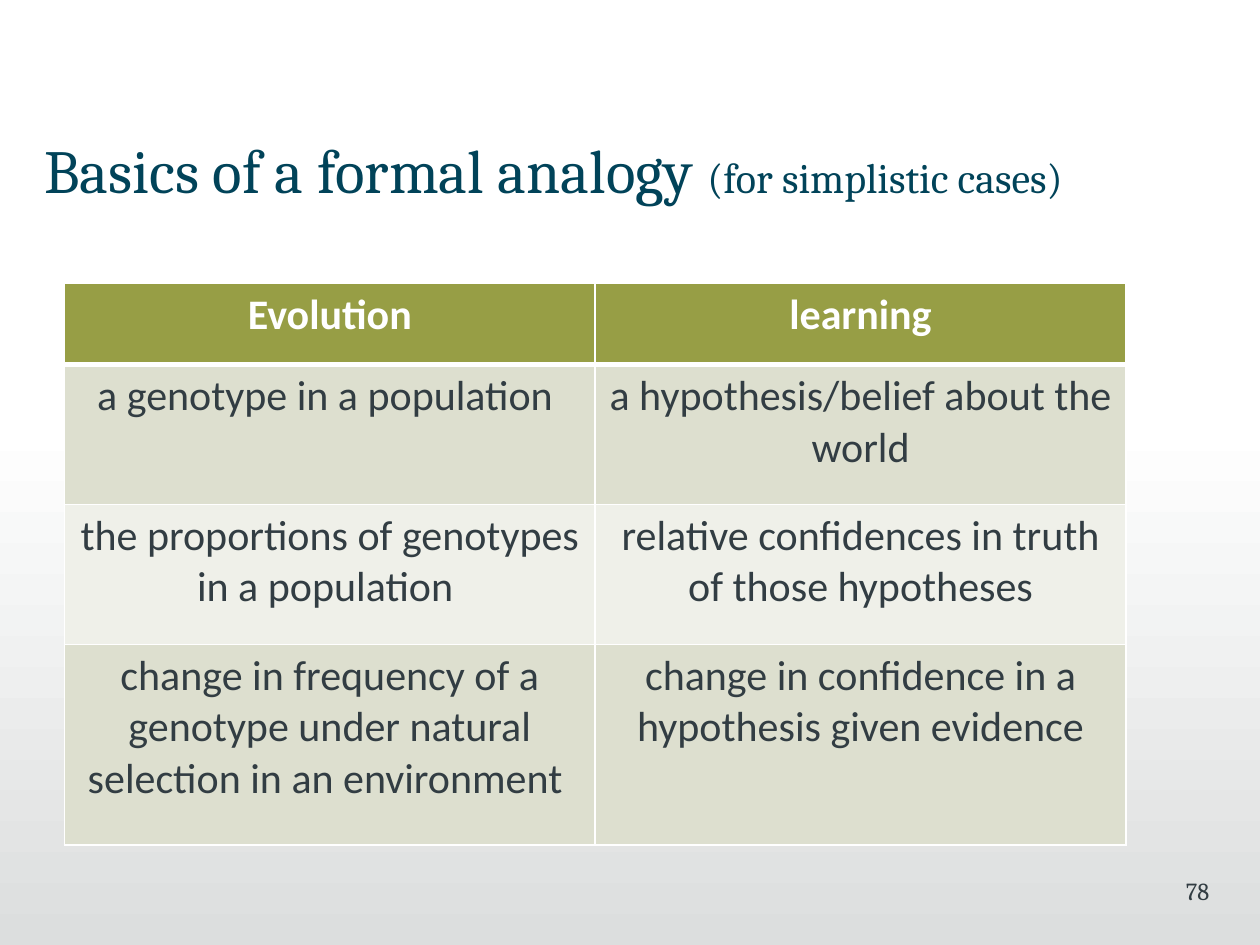
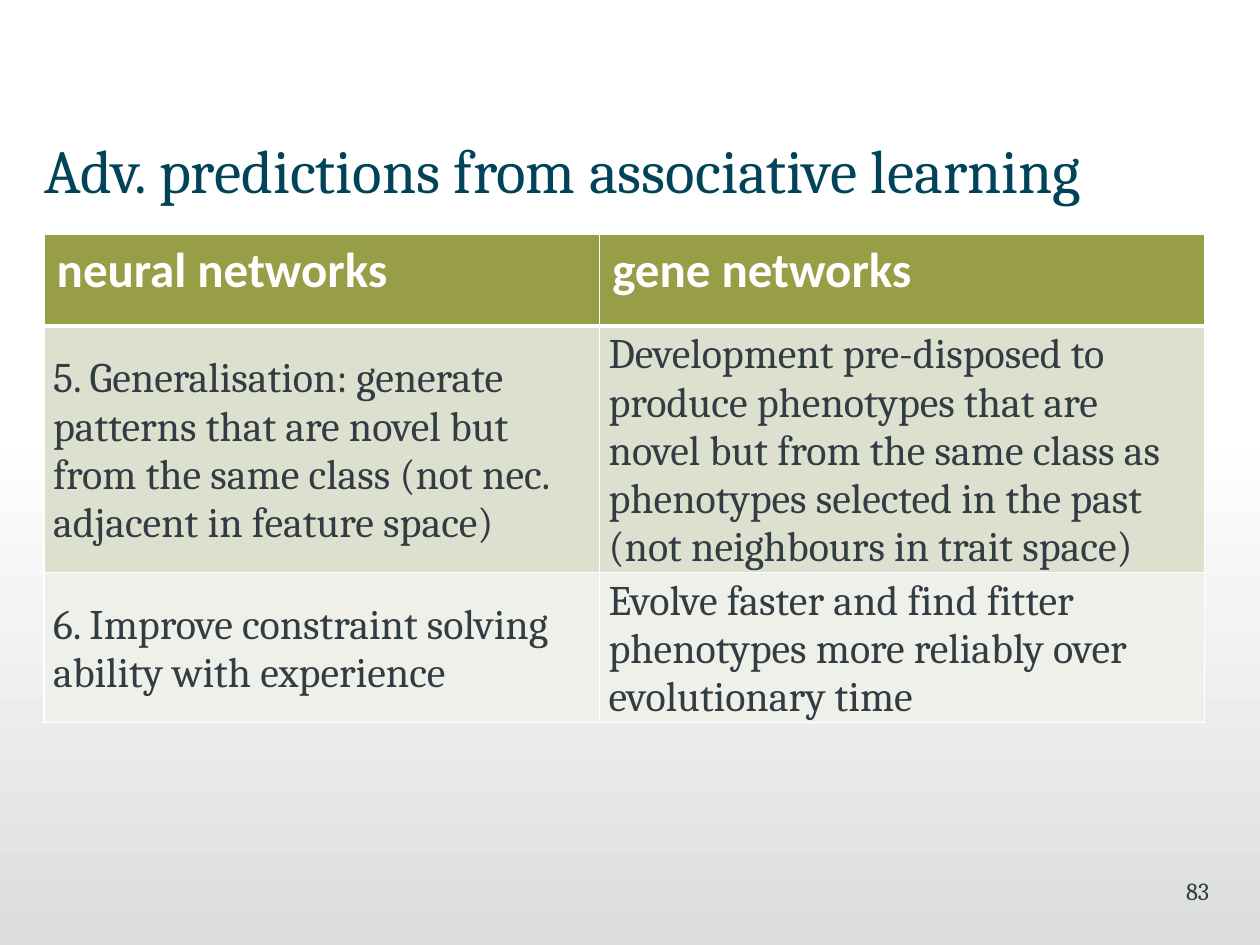
from dataclasses import dataclass

from lxml.etree import SubElement
from pptx import Presentation
from pptx.dml.color import RGBColor
from pptx.enum.shapes import MSO_SHAPE
from pptx.enum.text import MSO_ANCHOR, MSO_AUTO_SIZE, PP_ALIGN
from pptx.oxml.ns import qn
from pptx.presentation import Presentation as Deck
from pptx.slide import Slide
from pptx.table import _Cell as Cell
from pptx.text.text import TextFrame, _Paragraph as Para
from pptx.util import Cm, Pt

WHITE = RGBColor(0xFF, 0xFF, 0xFF)
GREY = RGBColor(0xDC, 0xDE, 0xDE)
NAVY = RGBColor(0x01, 0x43, 0x59)
SLATE = RGBColor(0x32, 0x3D, 0x43)
OLIVE = RGBColor(0x97, 0x9E, 0x45)
SAGE = RGBColor(0xDD, 0xDF, 0xCF)
PALE = RGBColor(0xEF, 0xF0, 0xE9)

SERIF = "Cambria"
SANS = "Calibri"
THIN, THICK = 1, 3


@dataclass(frozen=True)
class Style:
    font: str
    size: int
    color: RGBColor
    bold: bool = False


@dataclass(frozen=True)
class Run:
    text: str
    style: Style


@dataclass(frozen=True)
class Grid:
    left: float
    top: float
    cols: list[float]
    rows: list[float]
    cells: list[tuple[str, str]]
    head: Style
    body: Style
    align: PP_ALIGN = PP_ALIGN.LEFT
    tight: bool = False  # body cells centred vertically, with narrow margins


@dataclass(frozen=True)
class Page:
    number: int
    title: list[Run]
    grid: Grid


TITLE = Style(SERIF, 35, NAVY)
ASIDE = Style(SERIF, 24, NAVY)
NUMBER = Style(SERIF, 14, SLATE)

PAGES = [
    Page(
        78,
        [Run("Basics of a formal analogy ", TITLE), Run("(for simplistic cases)", ASIDE)],
        Grid(
            1.3, 5.72, [10.7, 10.7], [1.63, 2.82, 2.82, 4.04],
            [
                ("Evolution", "learning"),
                ("a genotype in a population ", "a hypothesis/belief about the world"),
                ("the proportions of genotypes in a population ",
                 "relative confidences in truth of those hypotheses"),
                ("change in frequency of a genotype under natural selection in an environment ",
                 "change in confidence in a hypothesis given evidence"),
            ],
            head=Style(SANS, 24, WHITE, True),
            body=Style(SANS, 24, SLATE),
            align=PP_ALIGN.CENTER,
        ),
    ),
    Page(
        83,
        [Run("Adv. predictions from associative learning", TITLE)],
        Grid(
            0.89, 4.72, [11.2, 12.19], [1.85, 4.95, 3.02],
            [
                ("neural networks", "gene networks"),
                ("5. Generalisation: generate patterns that are novel but from the same class "
                 "(not nec. adjacent in feature space)",
                 "Development pre-disposed to produce phenotypes that are novel but from the same "
                 "class as phenotypes selected in the past (not neighbours in trait space)"),
                ("6. Improve constraint solving ability with experience",
                 "Evolve faster and find fitter phenotypes more reliably over evolutionary time"),
            ],
            head=Style(SANS, 28, WHITE, True),
            body=Style(SERIF, 24, SLATE),
            tight=True,
        ),
    ),
]


def add_run(para: Para, text: str, style: Style) -> None:
    run = para.add_run()
    run.text = text
    font = run.font
    font.name, font.size, font.bold = style.font, Pt(style.size), style.bold
    font.color.rgb = style.color


def set_frame(frame: TextFrame, left: float, right: float, anchor: MSO_ANCHOR) -> None:
    frame.word_wrap = True
    frame.auto_size = MSO_AUTO_SIZE.NONE
    frame.vertical_anchor = anchor
    frame.margin_left, frame.margin_right = Cm(left), Cm(right)
    frame.margin_top = frame.margin_bottom = Cm(0.13)


def add_band(slide: Slide) -> None:
    """Draw the fading band and move it to the layout, behind all else."""
    band = slide.shapes.add_shape(
        MSO_SHAPE.RECTANGLE, Cm(-0.23), Cm(8.46), Cm(25.63), Cm(10.59))
    band.shadow.inherit = False
    band.line.fill.background()
    band.fill.gradient()
    band.fill.gradient_angle = 270
    for stop, color in zip(band.fill.gradient_stops, (WHITE, GREY)):
        stop.color.rgb = color
    for stop, place in zip(band.fill.gradient_stops, (0, 1)):
        stop.position = place
    slide.slide_layout.shapes.element.insert(2, band.element)


def add_title(slide: Slide, runs: list[Run]) -> None:
    title = slide.shapes.title
    title.left, title.top = Cm(0.89), Cm(2.51)
    title.width, title.height = Cm(23.6), Cm(1.8)
    set_frame(title.text_frame, 0, 0.25, MSO_ANCHOR.MIDDLE)
    para = title.text_frame.paragraphs[0]
    para.alignment = PP_ALIGN.LEFT
    for run in runs:
        add_run(para, run.text, run.style)


def add_number(slide: Slide, number: int) -> None:
    box = slide.shapes.add_textbox(Cm(19.1), Cm(17.53), Cm(5.28), Cm(1.27))
    set_frame(box.text_frame, 0.25, 0, MSO_ANCHOR.TOP)
    para = box.text_frame.paragraphs[0]
    para.alignment = PP_ALIGN.RIGHT
    add_run(para, str(number), NUMBER)


def add_edges(cell: Cell, top: int, bottom: int) -> None:
    props = cell._tc.get_or_add_tcPr()
    for side, width in (("L", THIN), ("R", THIN), ("T", top), ("B", bottom)):
        line = SubElement(props, qn(f"a:ln{side}"), w=str(Pt(width)))
        fill = SubElement(line, qn("a:solidFill"))
        SubElement(fill, qn("a:srgbClr"), val=str(WHITE))


def fill_cell(cell: Cell, text: str, row: int, grid: Grid) -> None:
    add_edges(cell, THICK if row == 1 else THIN, THICK if row == 0 else THIN)
    cell.fill.solid()
    cell.fill.fore_color.rgb = OLIVE if row == 0 else (PALE, SAGE)[row % 2]
    if grid.tight and row > 0:
        cell.vertical_anchor = MSO_ANCHOR.MIDDLE
        cell.margin_left = cell.margin_right = Cm(0.18)
        cell.margin_top, cell.margin_bottom = Cm(0.1), Cm(0)
    para = cell.text_frame.paragraphs[0]
    para.alignment = grid.align
    add_run(para, text, grid.body if row else grid.head)


def add_grid(slide: Slide, grid: Grid) -> None:
    table = slide.shapes.add_table(
        len(grid.rows), len(grid.cols), Cm(grid.left), Cm(grid.top),
        Cm(sum(grid.cols)), Cm(sum(grid.rows))).table
    table.first_row = table.horz_banding = False
    for col, width in zip(table.columns, grid.cols):
        col.width = Cm(width)
    for index, (row, height) in enumerate(zip(table.rows, grid.rows)):
        row.height = Cm(height)
        for cell, text in zip(row.cells, grid.cells[index]):
            fill_cell(cell, text, index, grid)


def add_page(deck: Deck, page: Page) -> Slide:
    slide = deck.slides.add_slide(deck.slide_layouts[5])
    add_title(slide, page.title)
    add_grid(slide, page.grid)
    add_number(slide, page.number)
    return slide


def main() -> None:
    deck = Presentation()
    deck.slide_width, deck.slide_height = Cm(25.4), Cm(19.05)
    slides = [add_page(deck, page) for page in PAGES]
    add_band(slides[0])
    deck.save("out.pptx")


if __name__ == "__main__":
    main()
